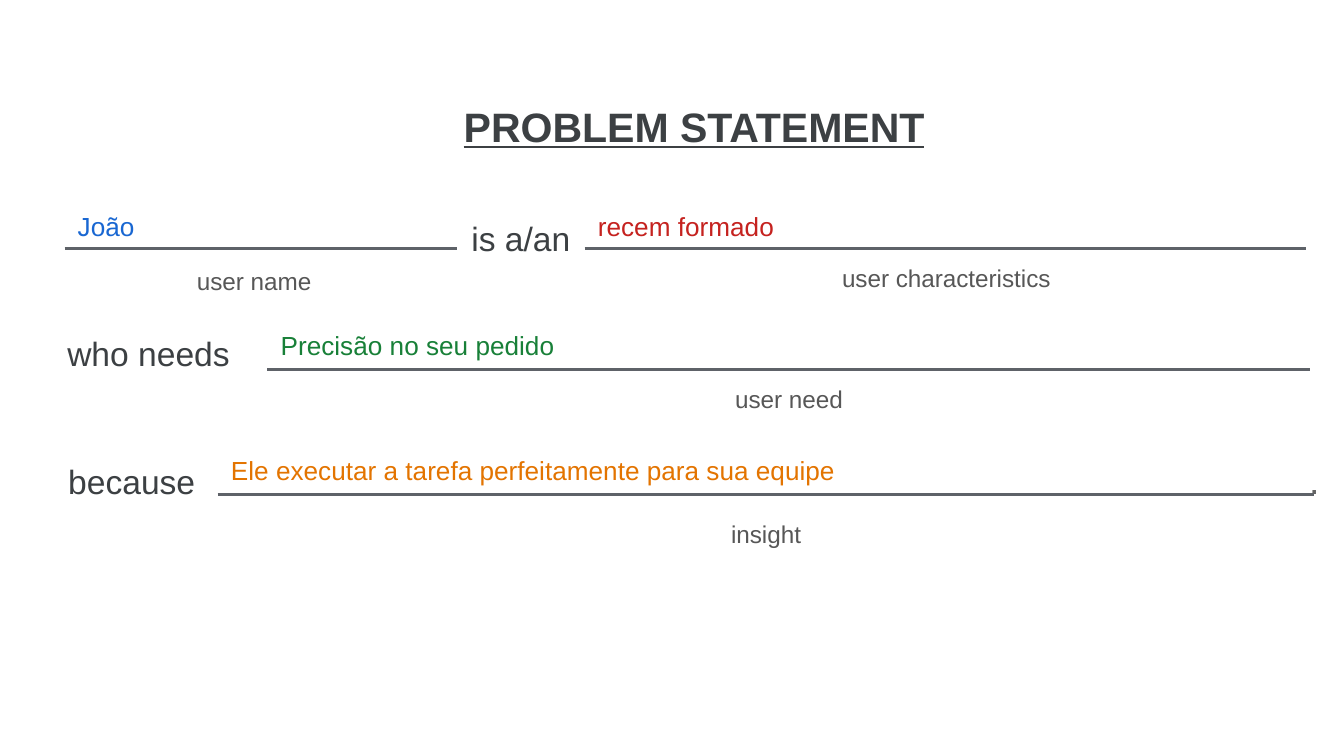
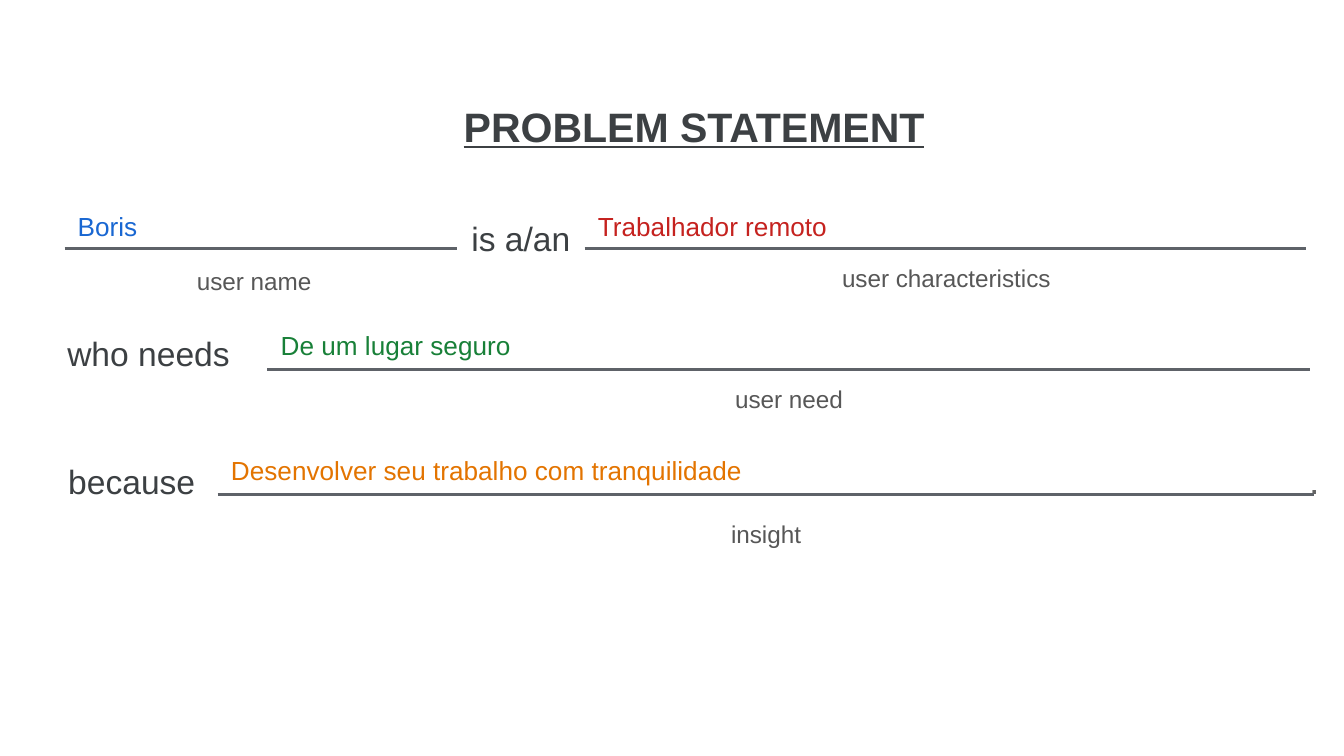
from dataclasses import dataclass

from lxml import etree
from pptx import Presentation
from pptx import util as u
from pptx.dml.color import RGBColor
from pptx.enum import shapes, text
from pptx.oxml.ns import qn

# One px is a hundredth of an inch
PX = 9144
FONT = "Arial"
LINE_SPACING = 1.1
COLORS = {
    "white": "FFFFFF",
    "ink": "3C4043",
    "caption": "575757",
    "stop": "646464",
    "rule": "5E6268",
    "name": "1967D2",
    "characteristics": "C5221F",
    "need": "188038",
    "insight": "E37400",
}


@dataclass(frozen=True)
class Area:
    left: int
    top: int
    width: int
    height: int


@dataclass(frozen=True)
class Style:
    size: int
    color: str
    centered: bool = True
    strong: bool = False
    inset: int = 10


@dataclass(frozen=True)
class Label:
    words: str
    area: Area
    style: Style


@dataclass(frozen=True)
class Blank:
    """An answer line with the answer above it and a caption below."""
    key: str
    answer: Area
    rule_y: int
    rule_end: int
    caption: Label


@dataclass(frozen=True)
class Persona:
    name: str
    characteristics: str
    need: str
    insight: str


TITLE = Style(22, "ink", strong=True)
PHRASE = Style(18, "ink")
TIGHT_PHRASE = Style(18, "ink", inset=5)
CAPTION = Style(13, "caption")
STOP = Style(20, "stop", centered=False, inset=5)

HEADING = Label("PROBLEM STATEMENT", Area(43, 62, 947, 54), TITLE)

PHRASES = [
    Label("is a/an", Area(340, 154, 95, 40), TIGHT_PHRASE),
    Label("who needs", Area(9, 235, 203, 63), PHRASE),
    Label("because", Area(9, 330, 178, 54), PHRASE),
    Label(".", Area(969, 332, 32, 44), STOP),
]

BLANKS = [
    Blank("name", Area(48, 144, 292, 42), 185, 340,
          Label("user name", Area(43, 186, 292, 35), CAPTION)),
    Blank("characteristics", Area(435, 144, 538, 42), 185, 972,
          Label("user characteristics", Area(435, 184, 538, 35), CAPTION)),
    Blank("need", Area(199, 233, 776, 42), 275, 975,
          Label("user need", Area(199, 274, 776, 52), CAPTION)),
    Blank("insight", Area(162, 326, 811, 42), 368, 978,
          Label("insight", Area(162, 374, 816, 63), CAPTION)),
]

PERSONAS = [
    Persona("João", "recem formado", "Precisão no seu pedido",
            "Ele executar a tarefa perfeitamente para sua equipe"),
    Persona("Boris", "Trabalhador remoto", "De um lugar seguro",
            "Desenvolver seu trabalho com tranquilidade"),
]


def rgb(name: str) -> RGBColor:
    return RGBColor.from_string(COLORS[name])


def emu(area: Area) -> list[int]:
    return [n * PX for n in (area.left, area.top, area.width, area.height)]


def write(box, words: str, style: Style) -> None:
    frame = box.text_frame
    frame.word_wrap = True
    frame.vertical_anchor = text.MSO_ANCHOR.TOP
    frame.margin_left = frame.margin_right = style.inset * PX
    frame.margin_top = frame.margin_bottom = style.inset * PX
    para = frame.paragraphs[0]
    para.alignment = text.PP_ALIGN.CENTER if style.centered else text.PP_ALIGN.LEFT
    para.line_spacing = LINE_SPACING
    span = para.add_run()
    span.text = words
    span.font.name = FONT
    span.font.size = u.Pt(style.size)
    span.font.color.rgb = rgb(style.color)
    if style.strong:
        span.font.bold = span.font.underline = True


def draw_label(page, label: Label) -> None:
    write(page.shapes.add_textbox(*emu(label.area)), label.words, label.style)


def draw_heading(page) -> None:
    plate = page.shapes.add_shape(shapes.MSO_SHAPE.RECTANGLE, *emu(HEADING.area))
    plate.shadow.inherit = False
    plate.fill.solid()
    plate.fill.fore_color.rgb = rgb("white")
    plate.line.fill.background()
    write(plate, HEADING.words, HEADING.style)


def draw_rule(page, start: int, end: int, y: int) -> None:
    rule = page.shapes.add_connector(
        shapes.MSO_CONNECTOR.STRAIGHT, start * PX, y * PX, end * PX, y * PX)
    rule.line.color.rgb = rgb("rule")
    rule.line.width = u.Pt(1.5)
    etree.SubElement(rule._element.spPr, qn("a:effectLst"))


def draw_statement(page, persona: Persona) -> None:
    # Fixed wording and answer lines
    for label in [blank.caption for blank in BLANKS] + PHRASES:
        draw_label(page, label)
    for blank in BLANKS:
        draw_rule(page, blank.answer.left, blank.rule_end, blank.rule_y)
    draw_heading(page)

    # Answers of this persona
    for blank in BLANKS:
        style = Style(14, blank.key, centered=False)
        draw_label(page, Label(getattr(persona, blank.key), blank.answer, style))


def main() -> None:
    deck = Presentation()
    deck.slide_width = u.Emu(1000 * PX)
    deck.slide_height = u.Inches(5.625)
    for persona in PERSONAS:
        page = deck.slides.add_slide(deck.slide_layouts[6])
        page.background.fill.solid()
        page.background.fill.fore_color.rgb = rgb("white")
        draw_statement(page, persona)
    deck.save("out.pptx")


if __name__ == "__main__":
    main()
